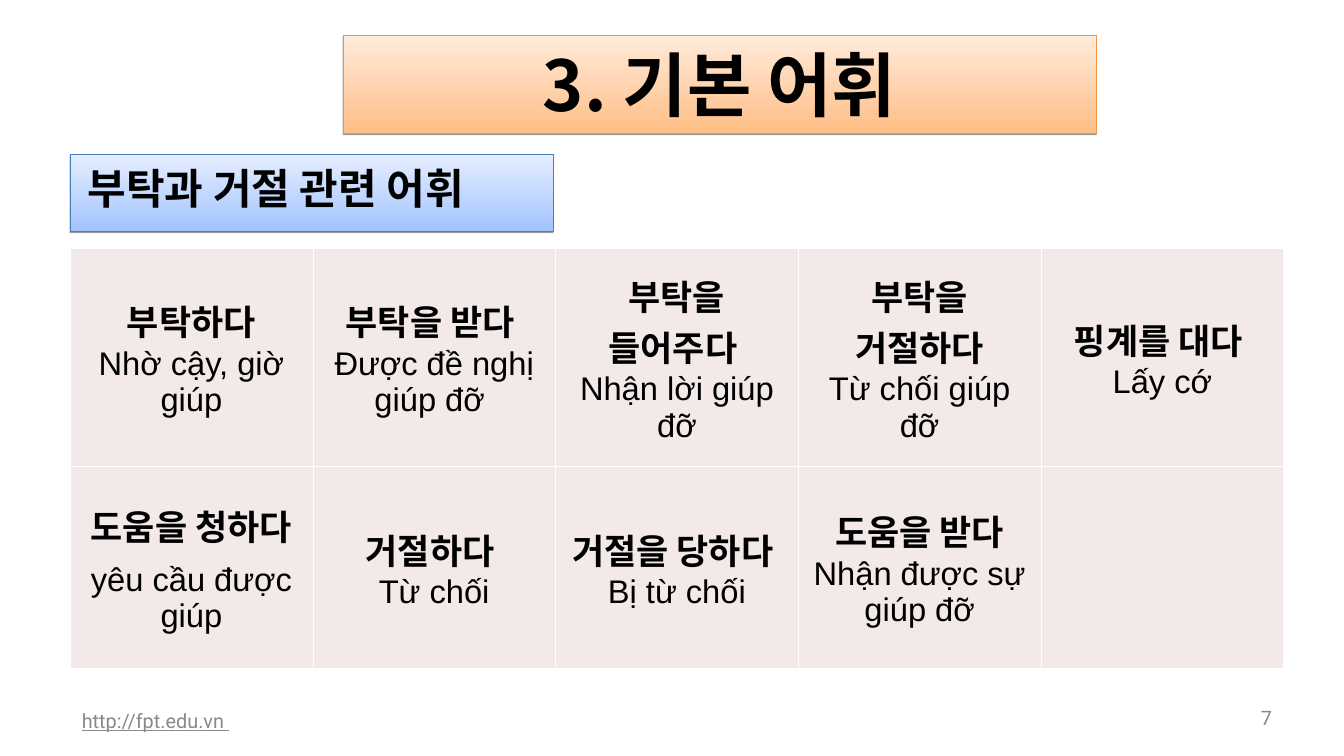
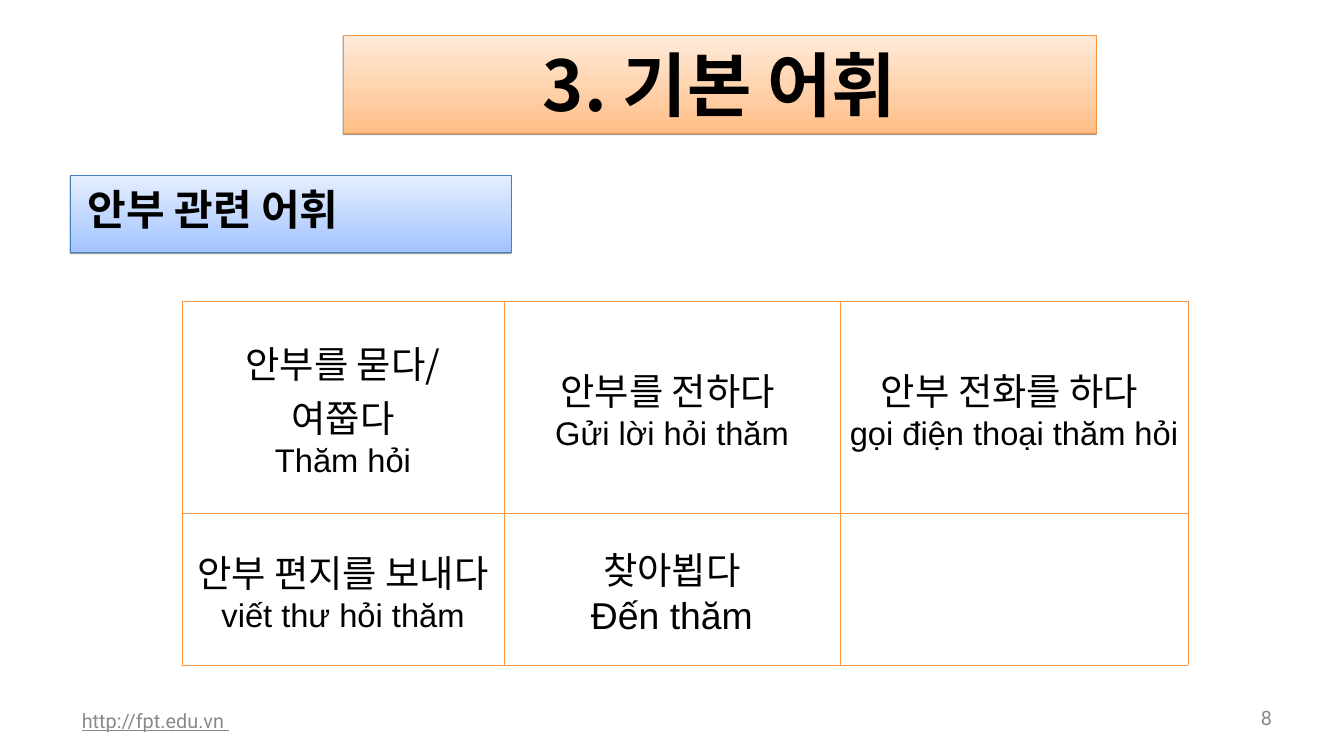
from lxml.etree import SubElement
from pptx import Presentation
from pptx.dml.color import RGBColor
from pptx.enum.shapes import MSO_SHAPE
from pptx.enum.text import MSO_ANCHOR as Anchor, MSO_AUTO_SIZE as AutoSize, PP_ALIGN as Align
from pptx.oxml import parse_xml
from pptx.oxml.ns import nsdecls, qn
from pptx.util import Inches, Pt

COLORS = {
    "text": "000000",
    "footer": "898989",
    "title": ("FFBE86", "FFEBDB", "F69240"),
    "heading": ("A3C4FF", "E5EEFF", "4A7EBB"),
    "cell": "F4E9E9",
    "white": "FFFFFF",
    "orange": "F79646",
}
KOREAN, VIETNAMESE, FOOTER = "Noto Sans CJK KR", "Arial", "Roboto"

SLIDES = [
    {
        "number": "7",
        "heading": "부탁과 거절 관련 어휘",
        "heading_box": (10, 22, 69, 11),
        "table_at": (10, 35.4),
        "columns": [34.68] * 5,
        "rows": [31.2, 28.8],
        "fill": COLORS["cell"],
        "border": COLORS["white"],
        "size": 30,
        "bold": True,
        "words": [
            [("부탁하다", "Nhờ cậy, giờ giúp"),
             ("부탁을 받다 ", "Được đề nghị giúp đỡ "),
             ("부탁을 들어주다 ", "Nhận lời giúp đỡ"),
             ("부탁을 거절하다", "Từ chối giúp đỡ"),
             ("핑계를 대다 ", "Lấy cớ")],
            [("도움을 청하다", "yêu cầu được giúp"),
             ("거절하다 ", "Từ chối"),
             ("거절을 당하다 ", "Bị từ chối"),
             ("도움을 받다", "Nhận được sự giúp đỡ")],
        ],
    },
    {
        "number": "8",
        "heading": "안부 관련 어휘",
        "heading_box": (10, 25, 63, 11),
        "table_at": (26, 43),
        "columns": [46, 48, 49.7],
        "rows": [30.3, 21.7],
        "fill": None,
        "border": COLORS["orange"],
        "size": 32,
        "bold": False,
        "words": [
            [("안부를 묻다/ 여쭙다", "Thăm hỏi"),
             ("안부를 전하다 ", "Gửi lời hỏi thăm"),
             ("안부 전화를 하다 ", "gọi điện thoại thăm hỏi")],
            [("안부 편지를 보내다", "viết thư hỏi thăm"),
             ("찾아뵙다", "Đến thăm")],
        ],
    },
]
LARGER = {"Đến thăm": 32}
SPACED = {"yêu cầu được giúp": 10}


def style_text(paragraph, font_name, size, color, bold=False, align=Align.LEFT):
    paragraph.alignment = align
    for run in paragraph.runs:
        run.font.name = font_name
        run.font.size = Pt(size)
        run.font.bold = bold
        run.font.color.rgb = RGBColor.from_string(color)
        SubElement(run.font._element, qn("a:ea"), typeface=KOREAN)


def style_band(shape, box, colors):
    shape.left, shape.top, shape.width, shape.height = [round(n * unit) for n in box]
    shape.fill.gradient()
    shape.fill.gradient_angle = 90
    for stop, color in zip(shape.fill.gradient_stops, colors):
        stop.color.rgb = RGBColor.from_string(color)
    shape.line.color.rgb = RGBColor.from_string(colors[2])
    shape.line.width = Pt(0.75)
    shape._element.spPr.append(parse_xml(
        f'<a:effectLst {nsdecls("a")}><a:outerShdw dist="20000" dir="5400000" rotWithShape="0">'
        '<a:srgbClr val="000000"><a:alpha val="38000"/></a:srgbClr></a:outerShdw></a:effectLst>'))


presentation = Presentation()
presentation.slide_width, presentation.slide_height = Inches(16), Inches(9)
unit = presentation.slide_width // 192

for content in SLIDES:
    slide = presentation.slides.add_slide(presentation.slide_layouts[5])

    title = slide.shapes.title
    style_band(title, (49, 5, 107.6, 14), COLORS["title"])
    title.text_frame.text = "3. 기본 어휘"
    title.text_frame.auto_size = AutoSize.NONE
    title.text_frame.vertical_anchor = Anchor.MIDDLE
    style_text(title.text_frame.paragraphs[0], KOREAN, 60, COLORS["text"], True, Align.CENTER)

    heading = slide.shapes.add_shape(MSO_SHAPE.RECTANGLE, 0, 0, unit, unit)
    style_band(heading, content["heading_box"], COLORS["heading"])
    frame = heading.text_frame
    frame.text = content["heading"]
    frame.vertical_anchor = Anchor.TOP
    frame.margin_left = Inches(0.21)
    frame.margin_top = frame.margin_right = frame.margin_bottom = Inches(0.1)
    style_text(frame.paragraphs[0], KOREAN, 36, COLORS["text"], True)

    for text, left, width, height, align in [
        ("http://fpt.edu.vn ", 10, 60.8, 5.8, Align.LEFT),
        (content["number"], 174, 9.4, 4.9, Align.RIGHT),
    ]:
        footer = slide.shapes.add_textbox(left * unit, 100 * unit, round(width * unit), round(height * unit))
        frame = footer.text_frame
        frame.text = text
        frame.word_wrap = True
        frame.vertical_anchor = Anchor.MIDDLE
        frame.margin_left = frame.margin_right = Inches(0.14)
        frame.margin_top = frame.margin_bottom = Inches(0.07)
        style_text(frame.paragraphs[0], FOOTER, 17, COLORS["footer"], align=align)
        frame.paragraphs[0].runs[0].font.underline = align == Align.LEFT

    columns, rows = content["columns"], content["rows"]
    left, top = content["table_at"]
    table = slide.shapes.add_table(
        len(rows), len(columns), round(left * unit), round(top * unit),
        round(sum(columns) * unit), round(sum(rows) * unit)).table
    table.first_row = table.horz_banding = False
    for column, width in zip(table.columns, columns):
        column.width = round(width * unit)
    for row, height in zip(table.rows, rows):
        row.height = round(height * unit)

    for cell in table.iter_cells():
        properties = cell._tc.get_or_add_tcPr()
        for side in ("lnL", "lnR", "lnT", "lnB"):
            properties.append(parse_xml(
                f'<a:{side} {nsdecls("a")} w="5715"><a:solidFill>'
                f'<a:srgbClr val="{content["border"]}"/></a:solidFill></a:{side}>'))
        cell.vertical_anchor = Anchor.MIDDLE
        if content["fill"]:
            cell.fill.solid()
            cell.fill.fore_color.rgb = RGBColor.from_string(content["fill"])
        else:
            cell.fill.background()

    for row_index, row_words in enumerate(content["words"]):
        for column_index, (word, meaning) in enumerate(row_words):
            frame = table.cell(row_index, column_index).text_frame
            frame.text = f"{word}\n{meaning}"
            first, second = frame.paragraphs
            style_text(first, KOREAN, content["size"], COLORS["text"], content["bold"], Align.CENTER)
            style_text(second, VIETNAMESE, LARGER.get(meaning, 28), COLORS["text"], align=Align.CENTER)
            if meaning in SPACED:
                second.space_before = Pt(SPACED[meaning])

presentation.save("out.pptx")
